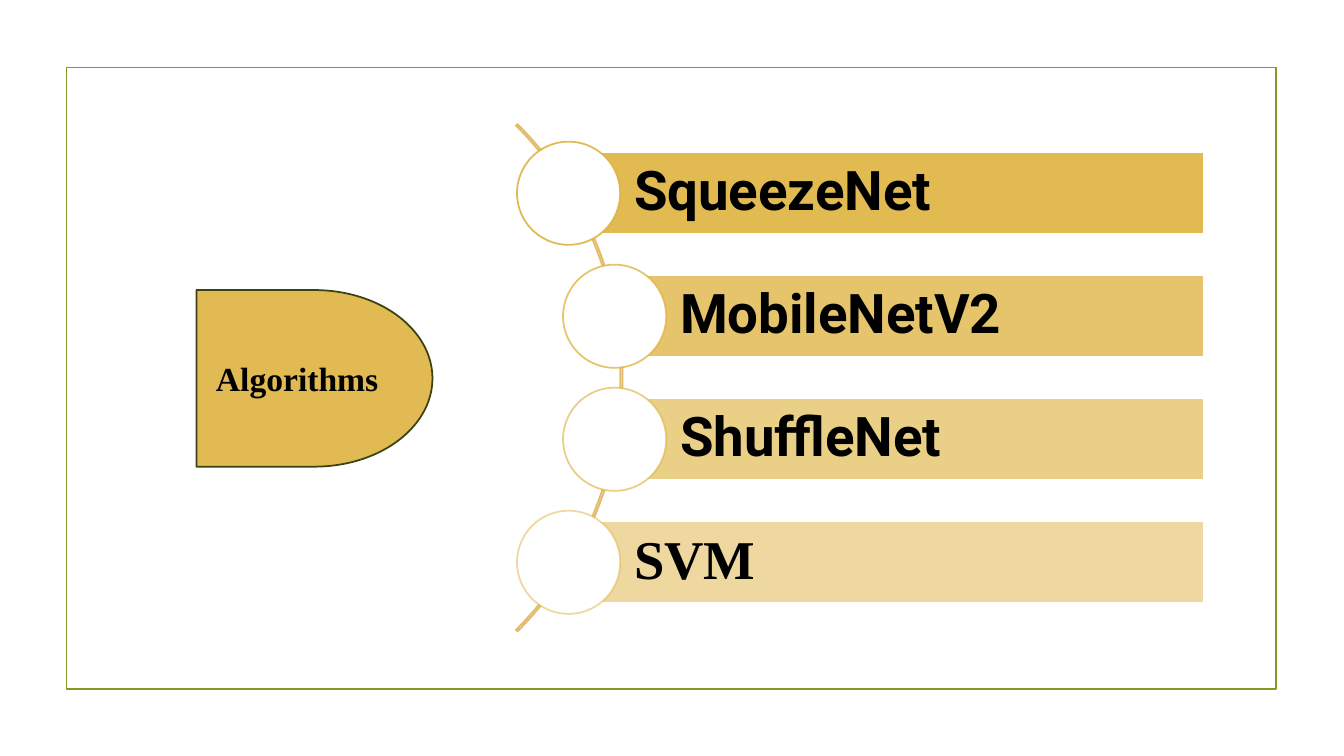
from dataclasses import dataclass

from lxml import etree
from pptx import Presentation
from pptx.dml.color import RGBColor
from pptx.enum import shapes, text
from pptx.oxml import ns
from pptx.util import Cm, Pt


@dataclass(frozen=True)
class Theme:
    gold: str = "DEB340"
    label_gold: str = "E1BA53"
    arc: str = "E2BC6C"
    olive: str = "83992A"
    dark_olive: str = "394312"
    white: str = "FFFFFF"
    ink: str = "000000"
    sans: str = "Roboto"
    serif: str = "Times New Roman"
    item_size: float = 39
    label_size: float = 24
    line_width: float = 1.25


THEME = Theme()
KIND = shapes.MSO_SHAPE

# Name, font, opacity in percent, left edge of the bar in cm
ALGORITHMS = [
    ("SqueezeNet", THEME.sans, 90, 14.33),
    ("MobileNetV2", THEME.sans, 77, 15.49),
    ("ShuffleNet", THEME.sans, 63, 15.49),
    ("SVM", THEME.serif, 50, 14.33),
]
FIRST_CENTER, ROW_STEP = 4.87, 3.1
BAR_RIGHT, BAR_HEIGHT, CIRCLE = 30.35, 2.06, 2.6


def paint(fill, color, opacity=100):
    fill.solid()
    fill.fore_color.rgb = RGBColor.from_string(color)
    if opacity < 100:
        clr = fill._xPr.find(".//" + ns.qn("a:srgbClr"))
        etree.SubElement(clr, ns.qn("a:alpha"), val=str(opacity * 1000))


def add_outline(page, kind, left, top, width, height, line, fill=None,
                fill_opacity=100, line_opacity=100):
    shape = page.shapes.add_shape(kind, Cm(left), Cm(top), Cm(width), Cm(height))
    shape.shadow.inherit = False
    if fill:
        paint(shape.fill, fill, fill_opacity)
    else:
        shape.fill.background()
    paint(shape.line.fill, line, line_opacity)
    shape.line.width = Pt(THEME.line_width)
    return shape


def write(shape, words, font, size, align):
    frame = shape.text_frame
    frame.word_wrap = True
    frame.vertical_anchor = text.MSO_ANCHOR.MIDDLE
    para = frame.paragraphs[0]
    para.alignment = align
    span = para.add_run()
    span.text = words
    span.font.name = font
    span.font.size = Pt(size)
    span.font.bold = True
    span.font.color.rgb = RGBColor.from_string(THEME.ink)
    return para


def add_arc(page):
    arc = add_outline(page, KIND.BLOCK_ARC, -2.39, 0.48, 18.08, 18.08, THEME.arc)
    # Start angle, end angle, thickness
    for index, value in enumerate((189, 27, 0.003)):
        arc.adjustments[index] = value


def add_algorithm(page, row, name, font, opacity, left):
    center = FIRST_CENTER + row * ROW_STEP
    bar = add_outline(page, KIND.RECTANGLE, left, center - BAR_HEIGHT / 2,
                      BAR_RIGHT - left, BAR_HEIGHT, THEME.white,
                      THEME.gold, fill_opacity=opacity)
    para = write(bar, name, font, THEME.item_size, text.PP_ALIGN.LEFT)
    para.line_spacing = 0.9
    frame = bar.text_frame
    frame.margin_left = Cm(1.65)
    frame.margin_top = frame.margin_right = frame.margin_bottom = Cm(0.28)
    add_outline(page, KIND.OVAL, left - CIRCLE / 2, center - CIRCLE / 2,
                CIRCLE, CIRCLE, THEME.gold, THEME.white, line_opacity=opacity)


def add_label(page):
    label = add_outline(page, KIND.FLOWCHART_DELAY, 4.95, 7.31, 5.95, 4.45,
                        THEME.dark_olive, THEME.label_gold)
    write(label, "Algorithms", THEME.serif, THEME.label_size, text.PP_ALIGN.CENTER)


def main():
    deck = Presentation()
    deck.slide_width, deck.slide_height = Cm(33.87), Cm(19.05)
    page = deck.slides.add_slide(deck.slide_layouts[6])

    # Page frame
    add_outline(page, KIND.RECTANGLE, 1.68, 1.7, 30.48, 15.67, THEME.olive)

    # Curved list of algorithms
    add_arc(page)
    for row, algorithm in enumerate(ALGORITHMS):
        add_algorithm(page, row, *algorithm)

    # Heading shape
    add_label(page)

    deck.save("out.pptx")


if __name__ == "__main__":
    main()
